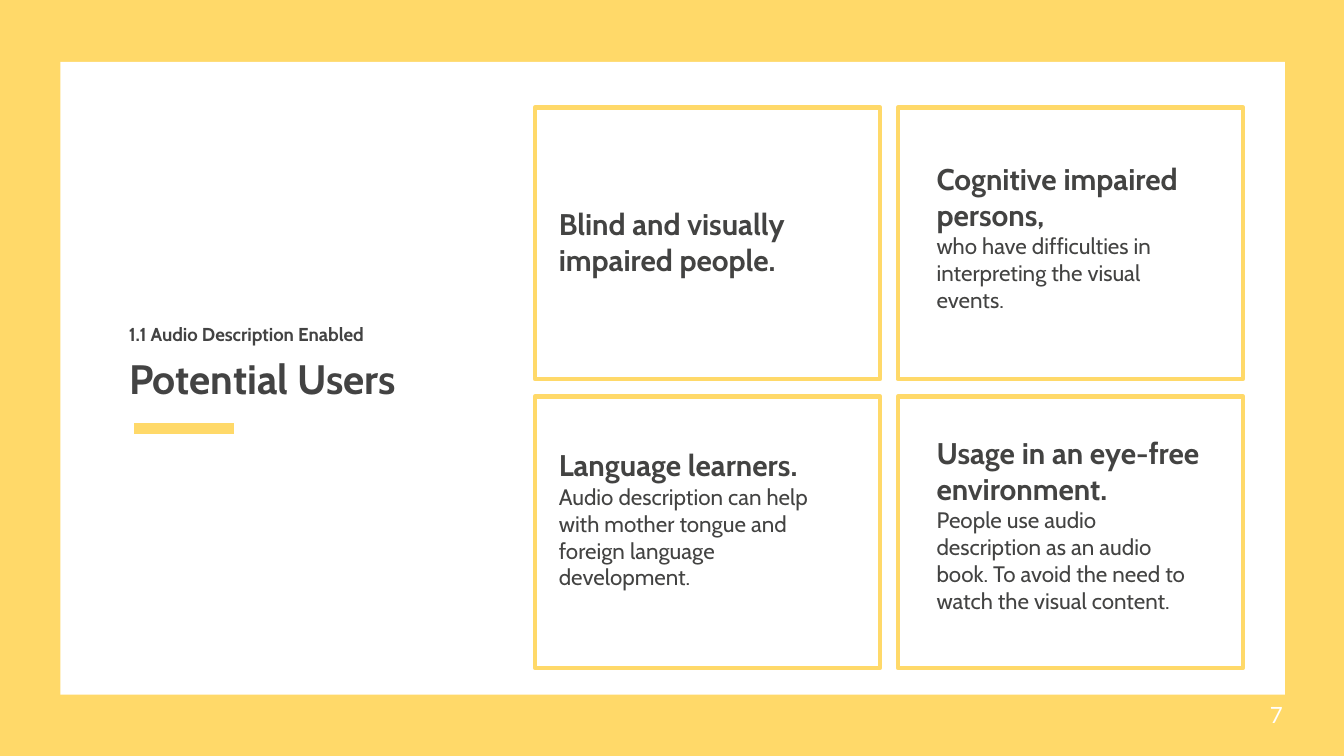
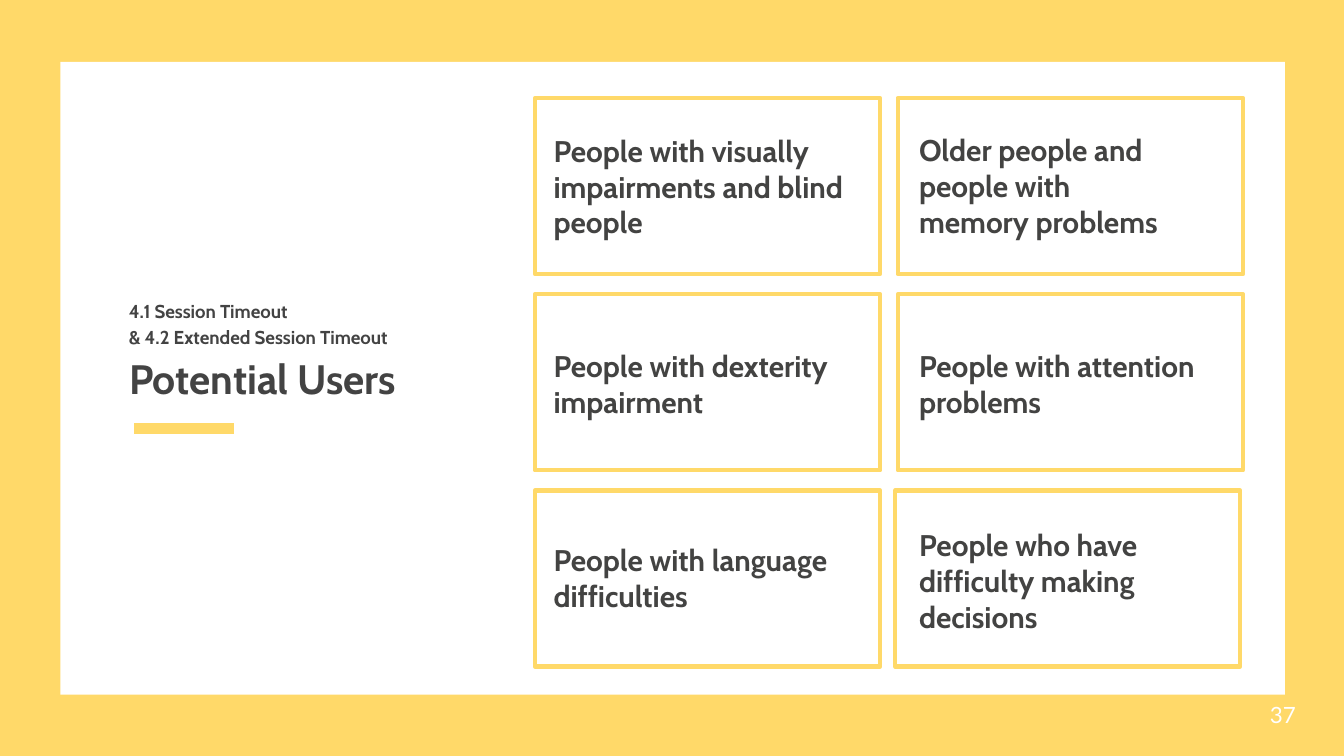
from pptx import Presentation
from pptx.dml.color import RGBColor
from pptx.enum.shapes import MSO_CONNECTOR, MSO_SHAPE
from pptx.enum.text import MSO_ANCHOR, MSO_AUTO_SIZE, PP_ALIGN
from pptx.oxml.ns import qn
from pptx.util import Inches, Pt
from lxml import etree

YELLOW = RGBColor(0xFF, 0xD9, 0x69)
WHITE = RGBColor(0xFF, 0xFF, 0xFF)
TITLE_GREY = RGBColor(0x43, 0x43, 0x43)
CARD_GREY = RGBColor(0x43, 0x43, 0x42)
RECTANGLE = MSO_SHAPE.RECTANGLE
STRAIGHT = MSO_CONNECTOR.STRAIGHT
TOP, MIDDLE = MSO_ANCHOR.TOP, MSO_ANCHOR.MIDDLE
LEFT = PP_ALIGN.LEFT
NO_FIT = MSO_AUTO_SIZE.NONE
TITLE_ONLY = 5
SLIDE_WIDTH = Inches(10)
SLIDE_HEIGHT = SLIDE_WIDTH * 9 // 16
CARD_LEFT, CARD_WIDTH, COLUMN_PITCH = 3.98, 2.57, 2.7

USERS_AUDIO = [
    ((4.06, 1.18, 2.37, 1.24), ["Blind and visually impaired people."], {}),
    ((6.87, 1.14, 2.18, 1.24),
     ["Cognitive impaired persons,",
      "who have difficulties in interpreting the visual events."], {}),
    ((4.06, 3.28, 2.3, 1.36),
     ["Language learners.",
      "Audio description can help with mother tongue and foreign language "
      "development."], {"bottom_inset": 0.3}),
    ((6.87, 3.28, 2.18, 1.24),
     ["Usage in an eye-free environment.",
      "People use audio description as an audio book. To avoid the need to "
      "watch the visual content."], {}),
]
USERS_TIMEOUT = [
    ((4.02, 0.98, 2.49, 0.81),
     ["People with visually impairments and blind people"], {}),
    ((6.74, 0.99, 2.18, 0.78),
     ["Older people and people with memory problems"], {}),
    ((4.02, 2.35, 2.49, 1.01), ["People with dexterity impairment"], {}),
    ((6.74, 2.35, 2.3, 1.01), ["People with attention problems"], {}),
    ((4.02, 3.89, 2.42, 0.81), ["People with language difficulties"], {}),
    ((6.74, 3.93, 2.18, 0.78),
     ["People who have difficulty making decisions"], {}),
]


def place(shape, area):
    """Move and size a shape to an area given in inches."""
    shape.left, shape.top, shape.width, shape.height = map(Inches, area)


def write(shape, lines, sizes, font="Cabin", color=CARD_GREY, bolds=(True, False),
          anchor=MIDDLE, spacing=None, bottom_inset=0.1):
    """Fill a shape with one paragraph per line, formatted in turn."""
    frame = shape.text_frame
    frame.word_wrap = True
    frame.auto_size = NO_FIT
    frame.vertical_anchor = anchor
    frame.margin_left = frame.margin_right = frame.margin_top = Inches(0.1)
    frame.margin_bottom = Inches(bottom_inset)
    for index, (line, size, bold) in enumerate(zip(lines, sizes, bolds)):
        para = frame.add_paragraph() if index else frame.paragraphs[0]
        para.alignment = LEFT
        para.line_spacing = spacing
        span = para.add_run()
        span.text = line
        span.font.name = font
        span.font.size = Pt(size)
        span.font.bold = bold
        span.font.color.rgb = color


def add_text(page, area, lines, sizes, **style):
    """Add a text box with formatted lines."""
    box = page.shapes.add_textbox(*map(Inches, area))
    write(box, lines, sizes, **style)


def add_rectangle(page, area, fill=None, line=None):
    """Add a flat rectangle with an optional fill and outline."""
    box = page.shapes.add_shape(RECTANGLE, *map(Inches, area))
    box.shadow.inherit = False
    if fill is None:
        box.fill.background()
    else:
        box.fill.solid()
        box.fill.fore_color.rgb = fill
    if line is None:
        box.line.fill.background()
    else:
        box.line.color.rgb = line
        box.line.width = Pt(2.25)


def add_accent(page):
    """Draw the thick short rule under the title."""
    rule = page.shapes.add_connector(
        STRAIGHT, Inches(1), Inches(3.19), Inches(1.74), Inches(3.19))
    rule.line.color.rgb = YELLOW
    rule.line.width = Pt(6)
    etree.SubElement(rule._element.spPr, qn("a:effectLst"))


def add_page(deck, number, section, section_top, section_height):
    """Add a slide with the panel, title, section label and number."""
    page = deck.slides.add_slide(deck.slide_layouts[TITLE_ONLY])
    add_rectangle(page, (0.45, 0.46, 9.11, 4.71), fill=WHITE)
    add_accent(page)
    title = page.shapes.title
    place(title, (0.86, 1.9, 2.78, 1.82))
    write(title, ["Potential Users"], [22], color=TITLE_GREY)
    page.shapes._spTree.append(title._element)
    add_text(page, (0.86, section_top, 3.69, section_height), section, (10, 10),
             color=TITLE_GREY, bolds=(True, True), anchor=TOP, spacing=1.15)
    add_text(page, (9.35, 5.1, 0.6, 0.43), [str(number)], [12],
             font="Lato", color=WHITE, bolds=[False])
    return page


def add_cards(page, cards, top, height, pitch, last_shift=0):
    """Lay outlined cards in two columns and put their text on them."""
    for index, (area, lines, style) in enumerate(cards):
        row, column = divmod(index, 2)
        shift = last_shift if index == len(cards) - 1 else 0
        add_rectangle(page, (CARD_LEFT + column * COLUMN_PITCH + shift,
                             top + row * pitch, CARD_WIDTH, height), line=YELLOW)
        add_text(page, area, lines, (16, 12), **style)


def main():
    """Build both slides and save the deck."""
    deck = Presentation()
    deck.slide_width, deck.slide_height = SLIDE_WIDTH, SLIDE_HEIGHT
    backdrop = deck.slide_master.background.fill
    backdrop.solid()
    backdrop.fore_color.rgb = YELLOW

    page = add_page(deck, 7, ["1.1 Audio Description Enabled"], 2.28, 0.37)
    add_cards(page, USERS_AUDIO, top=0.8, height=2.02, pitch=2.15)

    page = add_page(deck, 37, ["4.1 Session Timeout",
                               "& 4.2 Extended Session Timeout"], 2.11, 0.56)
    add_cards(page, USERS_TIMEOUT, top=0.73, height=1.31, pitch=1.46,
              last_shift=-0.02)
    deck.save("out.pptx")


if __name__ == "__main__":
    main()
